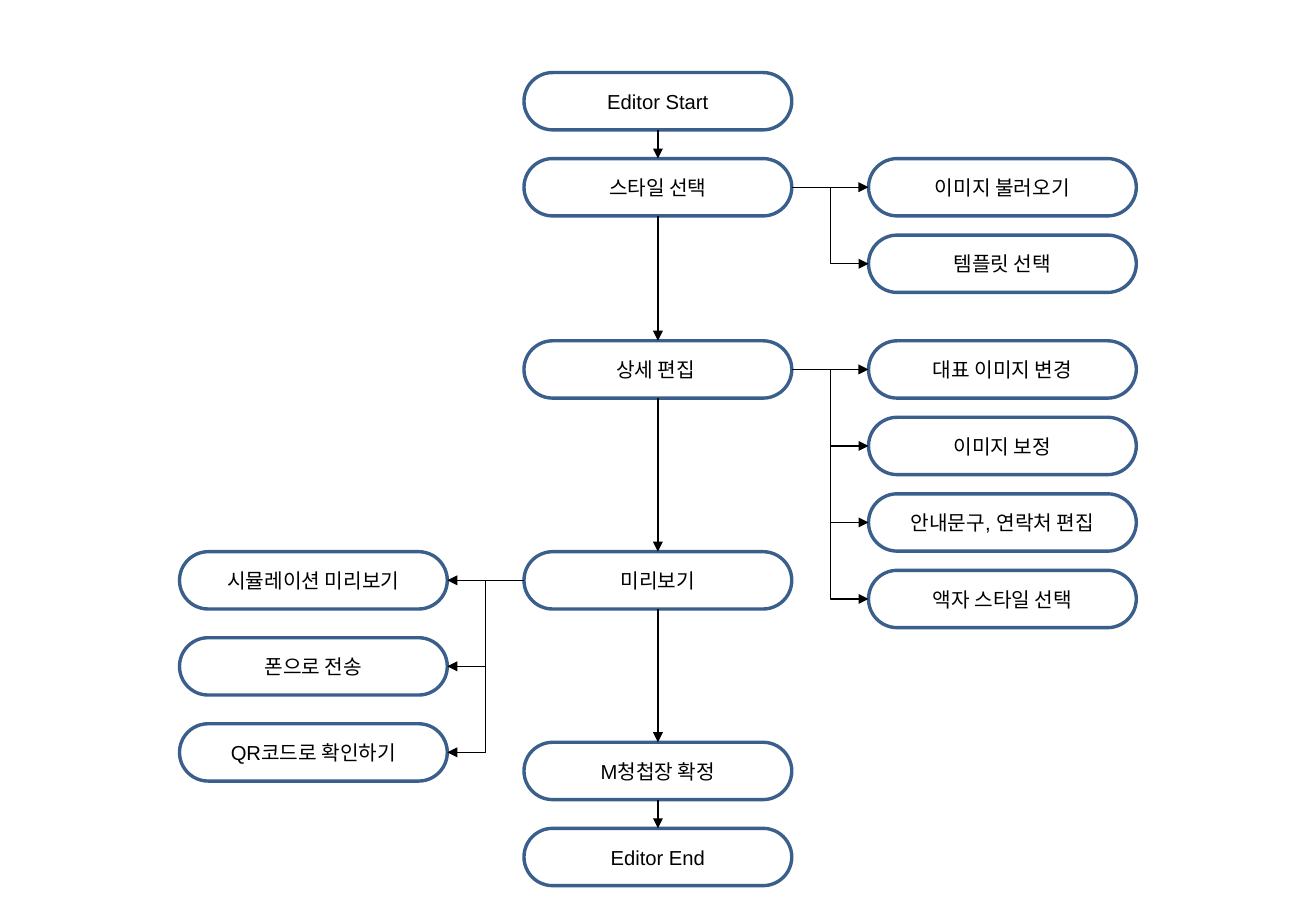
from itertools import pairwise

from lxml.etree import SubElement
from pptx import Presentation
from pptx.dml.color import RGBColor
from pptx.enum.shapes import MSO_CONNECTOR, MSO_SHAPE
from pptx.enum.text import MSO_ANCHOR, PP_ALIGN
from pptx.oxml.ns import qn
from pptx.util import Pt

# Main flow: (text, top)
STEPS = [
    ("Editor Start", 43),
    ("스타일 선택", 94),
    ("상세 편집 ", 202),
    ("미리보기", 327),
    ("M청첩장 확정", 440),
    ("Editor End", 491),
]
# Branches: (index of step, column, vertical step, texts)
BRANCHES = [
    (1, 2, 45.35, ["이미지 불러오기", "템플릿 선택"]),
    (2, 2, 45.35, ["대표 이미지 변경", "이미지 보정",
                   "안내문구, 연락처 편집", "액자 스타일 선택"]),
    (3, 0, 51, ["시뮬레이션 미리보기", "폰으로 전송", "QR코드로 확인하기"]),
]
COLORS = {"fill": "FFFFFF", "border": "3A5F8C", "ink": "000000"}
FONT = "Arial"
LEFT, COL_STEP = 106.4, 204.2
BOX_W, BOX_H = 158.75, 34
TOP_SIDE, LEFT_SIDE, BOTTOM_SIDE, RIGHT_SIDE = range(4)


def color(name):
    return RGBColor.from_string(COLORS[name])


def add_box(s, text, col, top, size=12):
    sp = s.shapes.add_shape(MSO_SHAPE.ROUNDED_RECTANGLE, Pt(LEFT + col * COL_STEP),
                            Pt(top), Pt(BOX_W), Pt(BOX_H))
    sp.adjustments[0] = 0.5
    sp.shadow.inherit = False
    sp.fill.solid()
    sp.fill.fore_color.rgb = color("fill")
    sp.line.color.rgb = color("border")
    sp.line.width = Pt(2)
    tf = sp.text_frame
    tf.word_wrap = True
    tf.vertical_anchor = MSO_ANCHOR.MIDDLE
    p = tf.paragraphs[0]
    p.alignment = PP_ALIGN.CENTER
    r = p.add_run()
    r.text = text
    r.font.name = FONT
    r.font.size = Pt(size)
    r.font.color.rgb = color("ink")
    return sp


def add_arrow(s, start, start_side, end, end_side, kind=MSO_CONNECTOR.STRAIGHT):
    cn = s.shapes.add_connector(kind, 0, 0, 0, 0)
    cn.begin_connect(start, start_side)
    cn.end_connect(end, end_side)
    cn.line.color.rgb = color("ink")
    cn.line.width = Pt(0.75)
    SubElement(cn.line._get_or_add_ln(), qn("a:tailEnd"), type="triangle")
    SubElement(cn._element.spPr, qn("a:effectLst"))


def main():
    prs = Presentation()
    prs.slide_width, prs.slide_height = Pt(780), Pt(540)
    s = prs.slides.add_slide(prs.slide_layouts[6])

    steps = [add_box(s, text, 1, top) for text, top in STEPS]
    for upper, lower in pairwise(steps):
        add_arrow(s, upper, BOTTOM_SIDE, lower, TOP_SIDE)

    for index, col, gap, texts in BRANCHES:
        sides = (RIGHT_SIDE, LEFT_SIDE) if col == 2 else (LEFT_SIDE, RIGHT_SIDE)
        for i, text in enumerate(texts):
            box = add_box(s, text, col, STEPS[index][1] + i * gap)
            kind = MSO_CONNECTOR.ELBOW if i else MSO_CONNECTOR.STRAIGHT
            add_arrow(s, steps[index], sides[0], box, sides[1], kind)

    prs.save("out.pptx")


if __name__ == "__main__":
    main()
